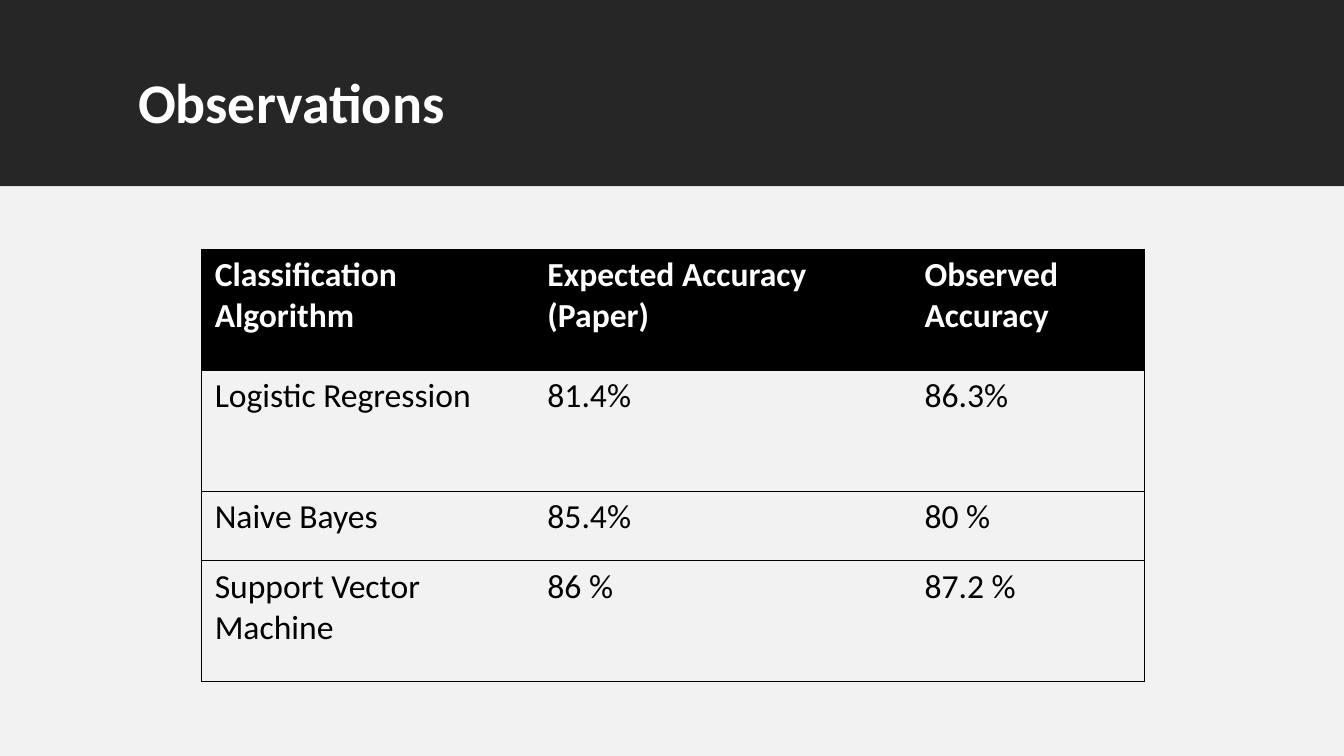
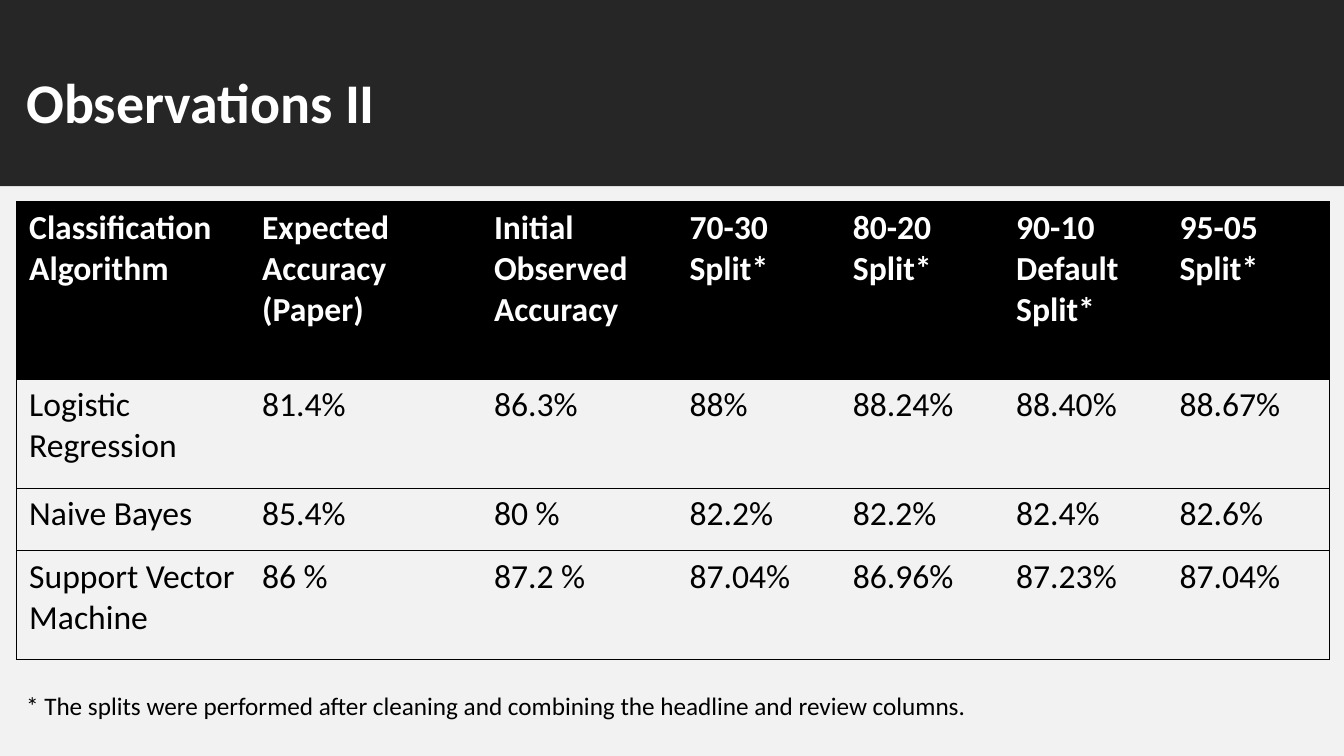
from lxml import etree
from pptx import Presentation
from pptx import util as u
from pptx.dml.color import RGBColor
from pptx.enum import shapes, text
from pptx.oxml import ns

DARK = RGBColor(0x26, 0x26, 0x26)
PALE = RGBColor(0xF2, 0xF2, 0xF2)
WHITE = RGBColor(0xFF, 0xFF, 0xFF)
BLACK = RGBColor(0x00, 0x00, 0x00)
FONT = "Calibri"
TITLE_ONLY = 5
SLIDE_WIDTH, SLIDE_HEIGHT = 13.33, 7.5
BAND_HEIGHT = 1.85
TITLE_TOP, TITLE_HEIGHT = 0.7, 0.98
WIDE_LEFT, WIDE_WIDTH = 0.16, 13.01

SPLIT_HEADERS = ["70-30\nSplit*", "80-20\nSplit*", "90-10\nDefault Split*", "95-05\nSplit*"]
ACCURACY = [
    ["Logistic Regression", "81.4%", "86.3%"],
    ["Naive Bayes", "85.4%", "80 %"],
    ["Support Vector Machine", "86 %", "87.2 %"],
]
SPLITS = [
    ["88%", "88.24%", "88.40%", "88.67%"],
    ["82.2%", "82.2%", "82.4%", "82.6%"],
    ["87.04%", "86.96%", "87.23%", "87.04%"],
]


def write_text(frame, content, size=24, color=BLACK, bold=False, spacing=None):
    frame.text = content
    frame.word_wrap = True
    frame.vertical_anchor = text.MSO_ANCHOR.TOP
    for paragraph in frame.paragraphs:
        paragraph.alignment = text.PP_ALIGN.LEFT
        if spacing:
            paragraph.line_spacing = spacing
        font = paragraph.font
        for target in [font] + [run.font for run in paragraph.runs]:
            target.name = FONT
            target.size = u.Pt(size)
            target.bold = bold
            target.color.rgb = color


def add_band(slide, top, height, color):
    band = slide.shapes.add_shape(
        shapes.MSO_SHAPE.RECTANGLE, 0, u.Inches(top), u.Inches(SLIDE_WIDTH), u.Inches(height)
    )
    band.shadow.inherit = False
    band.fill.solid()
    band.fill.fore_color.rgb = color
    band.line.fill.background()
    return band


def add_titled_slide(presentation, heading, left, width):
    slide = presentation.slides.add_slide(presentation.slide_layouts[TITLE_ONLY])
    title_band = add_band(slide, 0, BAND_HEIGHT, DARK)
    add_band(slide, BAND_HEIGHT, SLIDE_HEIGHT - BAND_HEIGHT, PALE)
    title = slide.shapes.title
    title.left, title.top = u.Inches(left), u.Inches(TITLE_TOP)
    title.width, title.height = u.Inches(width), u.Inches(TITLE_HEIGHT)
    write_text(title.text_frame, heading, size=40, color=WHITE, bold=True, spacing=0.9)
    title.text_frame.auto_size = text.MSO_AUTO_SIZE.NONE
    title_band.element.addnext(title.element)
    return slide


def set_borders(cell, sides):
    properties = cell._tc.get_or_add_tcPr()
    for position, side in enumerate("LRTB"):
        line = etree.Element(ns.qn(f"a:ln{side}"), w=str(u.Pt(0.5)))
        if side in sides:
            fill = etree.SubElement(line, ns.qn("a:solidFill"))
            etree.SubElement(fill, ns.qn("a:srgbClr"), val=str(BLACK))
        else:
            etree.SubElement(line, ns.qn("a:noFill"))
        properties.insert(position, line)


def format_cell(cell, content, is_header, sides):
    cell.margin_left = cell.margin_right = u.Inches(0.13)
    cell.margin_top = cell.margin_bottom = u.Inches(0.06)
    write_text(cell.text_frame, content, color=WHITE if is_header else BLACK, bold=is_header)
    if is_header:
        cell.fill.solid()
        cell.fill.fore_color.rgb = BLACK
    else:
        cell.fill.background()
    set_borders(cell, sides)


def add_results_table(slide, left, top, widths, heights, rows):
    table = slide.shapes.add_table(
        len(rows), len(widths), u.Inches(left), u.Inches(top),
        u.Inches(sum(widths)), u.Inches(sum(heights)),
    ).table
    table.horz_banding = False
    for column, width in zip(table.columns, widths):
        column.width = u.Inches(width)
    for row, height in zip(table.rows, heights):
        row.height = u.Inches(height)
    last = len(widths) - 1
    for row_index, row in enumerate(rows):
        for column_index, content in enumerate(row):
            sides = "TB" + "L" * (column_index == 0) + "R" * (column_index == last)
            format_cell(table.cell(row_index, column_index), content, row_index == 0, sides)


def add_footnote(slide, content, left, top, width, height):
    footnote = slide.shapes.add_textbox(
        u.Inches(left), u.Inches(top), u.Inches(width), u.Inches(height)
    )
    write_text(footnote.text_frame, content, size=18)


def build_observations(presentation):
    slide = add_titled_slide(presentation, "Observations", 1.27, 10.81)
    headers = ["Classification Algorithm", "Expected Accuracy (Paper)", "Observed Accuracy"]
    add_results_table(
        slide, 2, 2.47, [3.3, 3.74, 2.31], [1.2, 1.2, 0.69, 1.2], [headers] + ACCURACY
    )


def build_split_observations(presentation):
    slide = add_titled_slide(presentation, "Observations II", WIDE_LEFT, WIDE_WIDTH)
    headers = [
        "Classification Algorithm",
        "Expected\nAccuracy\n(Paper)",
        "Initial\nObserved Accuracy",
    ] + SPLIT_HEADERS
    results = [accuracy + splits for accuracy, splits in zip(ACCURACY, SPLITS)]
    widths = [2.31, 2.3, 1.94] + [1.62] * len(SPLIT_HEADERS)
    add_results_table(slide, WIDE_LEFT, 2, widths, [1.76, 1.08, 0.62, 1.08], [headers] + results)
    add_footnote(
        slide,
        "* The splits were performed after cleaning and combining the headline and review columns.",
        WIDE_LEFT, 6.8, WIDE_WIDTH, 0.4,
    )


def main():
    presentation = Presentation()
    presentation.slide_width = u.Inches(SLIDE_WIDTH)
    presentation.slide_height = u.Inches(SLIDE_HEIGHT)
    build_observations(presentation)
    build_split_observations(presentation)
    presentation.save("out.pptx")


if __name__ == "__main__":
    main()
